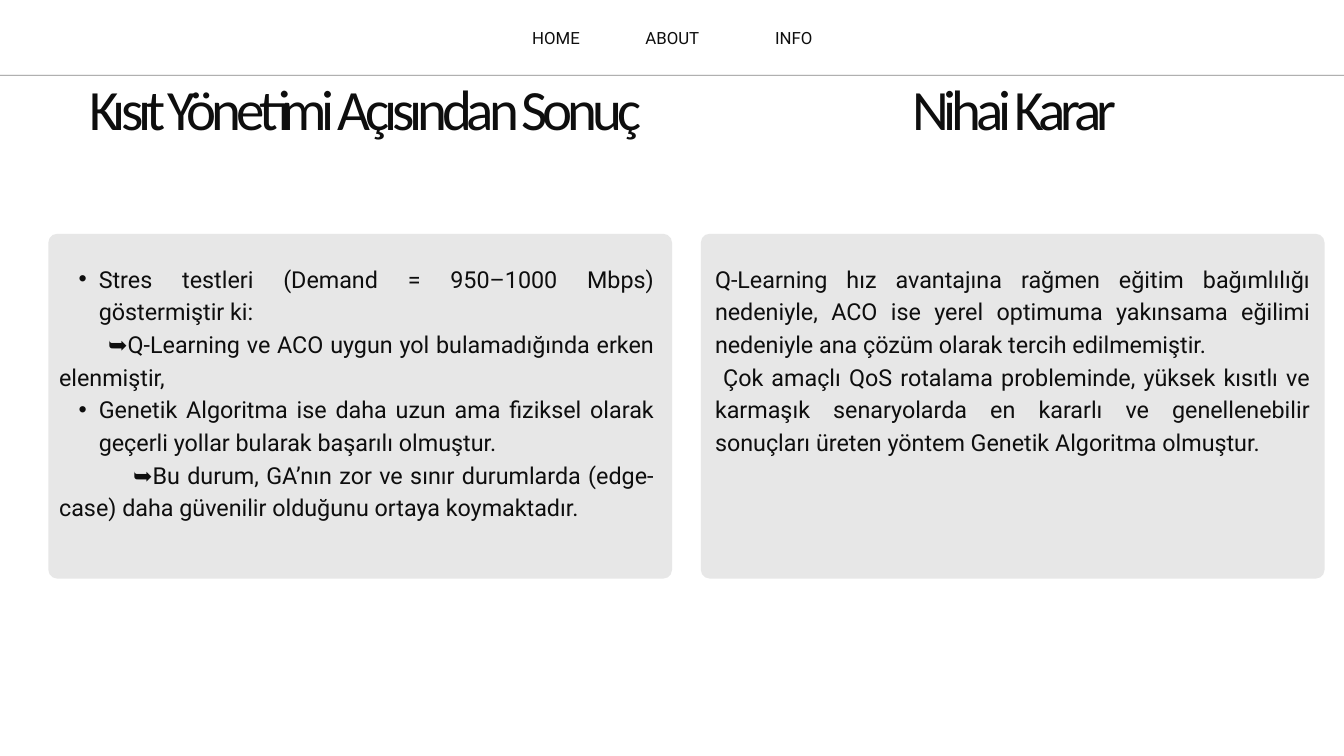
import pptx
import pptx.util
import pptx.dml.color
import pptx.enum.shapes
import pptx.enum.text
import lxml.etree

PX = 9144  # 100 px to the inch
A = "http://schemas.openxmlformats.org/drawingml/2006/main"
ALIGN = pptx.enum.text.PP_ALIGN
MARK = "•"


class Theme:
    ink = pptx.dml.color.RGBColor.from_string("0E0E0E")
    card = pptx.dml.color.RGBColor.from_string("E7E7E7")
    # font, size, line pitch, tracking (points)
    head = dict(name="Calibri", size=61, pitch=64.7, track=-5.4)
    body = dict(name="Roboto", size=25, pitch=35, track=0)
    menu = dict(name="Roboto", size=18, pitch=25.2, track=0)


def apply(obj, vals):
    for key, val in vals.items():
        setattr(obj, key, val)


def add(node, tag, **attrs):
    return lxml.etree.SubElement(node, f"{{{A}}}{tag}", attrs)


class Deck:
    def __init__(self, wide, high):
        self.prs = pptx.Presentation()
        apply(self.prs, dict(slide_width=wide * PX, slide_height=high * PX))
        self.slide = self.prs.slides.add_slide(self.prs.slide_layouts[3])
        self.shapes = self.slide.shapes

    def rule(self, x1, x2, y):
        kind = pptx.enum.shapes.MSO_CONNECTOR.STRAIGHT
        line = self.shapes.add_connector(kind, x1 * PX, y * PX, x2 * PX, y * PX)
        line.line.width = pptx.util.Pt(0.75)
        line.line.color.rgb = Theme.ink
        tint = line._element.spPr.find(f".//{{{A}}}srgbClr")
        add(tint, "alpha", val="50000")
        add(line._element.spPr, "effectLst")

    def card(self, x, y, w, h):
        kind = pptx.enum.shapes.MSO_SHAPE.ROUNDED_RECTANGLE
        box = self.shapes.add_shape(kind, x * PX, y * PX, w * PX, h * PX)
        box.adjustments[0] = 0.025
        box.shadow.inherit = False
        box.fill.solid()
        box.fill.fore_color.rgb = Theme.card
        box.line.fill.background()

    def text(self, area, paras, style, align, slot=None):
        """Fill a placeholder (slot) or a new text box with (lead, text) pairs."""
        x, y, w, h = (n * PX for n in area)
        if slot is None:
            box = self.shapes.add_textbox(x, y, w, h)
        else:
            box = self.slide.placeholders[slot]
            self.shapes._spTree.append(box._element)  # bring to front
            apply(box, dict(left=x, top=y, width=w, height=h))
        frame = box.text_frame
        apply(frame, dict(
            margin_left=0, margin_top=0, margin_right=0, margin_bottom=0,
            word_wrap=True, auto_size=pptx.enum.text.MSO_AUTO_SIZE.NONE,
            vertical_anchor=pptx.enum.text.MSO_ANCHOR.TOP))
        for i, (lead, words) in enumerate(paras):
            para = frame.add_paragraph() if i else frame.paragraphs[0]
            self.para(para, lead, words, style, align)

    def para(self, para, lead, words, style, align):
        # Lead is either the bullet mark or a first-line indent in px
        props = para._p.get_or_add_pPr()
        if lead == MARK:
            left, first = 59, -30
            add(props, "buFont", typeface="Arial")
            add(props, "buChar", char=MARK)
        else:
            left, first = 0, lead
            add(props, "buNone")
        props.set("marL", str(left * PX))
        props.set("indent", str(first * PX))
        apply(para, dict(
            alignment=align, line_spacing=pptx.util.Pt(style["pitch"]),
            space_before=pptx.util.Pt(0), space_after=pptx.util.Pt(0)))
        run = para.add_run()
        run.text = words
        apply(run.font, dict(name=style["name"], bold=False,
                             size=pptx.util.Pt(style["size"])))
        run.font.color.rgb = Theme.ink
        if style["track"]:
            run._r.get_or_add_rPr().set("spc", str(round(style["track"] * 100)))


def main():
    deck = Deck(2000, 1125)

    # Menu bar
    deck.rule(-14, 2014, 112)
    menu = [("HOME", ALIGN.LEFT), ("ABOUT", ALIGN.CENTER), ("INFO", ALIGN.RIGHT)]
    for i, (name, align) in enumerate(menu):
        deck.text((792 + 151 * i, 36, 115, 34), [(0, name)], Theme.menu, align)

    # Cards
    for x in (72, 1043):
        deck.card(x, 348, 928, 513)

    # Headings
    deck.text((88, 122, 912, 182), [(0, "Kısıt Yönetimi Açısından Sonuç")],
              Theme.head, ALIGN.CENTER, 0)
    deck.text((1059, 122, 912, 92), [(0, "Nihai Karar ")],
              Theme.head, ALIGN.CENTER)

    # Body texts
    left = [
        (MARK, "Stres testleri (Demand = 950–1000 Mbps) göstermiştir ki:"),
        (73, "➥Q-Learning ve ACO uygun yol bulamadığında erken elenmiştir,"),
        (MARK, "Genetik Algoritma ise daha uzun ama fiziksel olarak geçerli "
               "yollar bularak başarılı olmuştur."),
        (110, "➥Bu durum, GA’nın zor ve sınır durumlarda (edge-case) daha "
              "güvenilir olduğunu ortaya koymaktadır."),
    ]
    right = [
        (0, "Q-Learning hız avantajına rağmen eğitim bağımlılığı nedeniyle, "
            "ACO ise yerel optimuma yakınsama eğilimi nedeniyle ana çözüm "
            "olarak tercih edilmemiştir."),
        (12, "Çok amaçlı QoS rotalama probleminde, yüksek kısıtlı ve karmaşık "
             "senaryolarda en kararlı ve genellenebilir sonuçları üreten "
             "yöntem Genetik Algoritma olmuştur."),
    ]
    deck.text((88, 387, 885, 430), left, Theme.body, ALIGN.JUSTIFY, 1)
    deck.text((1064, 387, 885, 286), right, Theme.body, ALIGN.JUSTIFY, 2)

    deck.prs.save("out.pptx")


if __name__ == "__main__":
    main()
